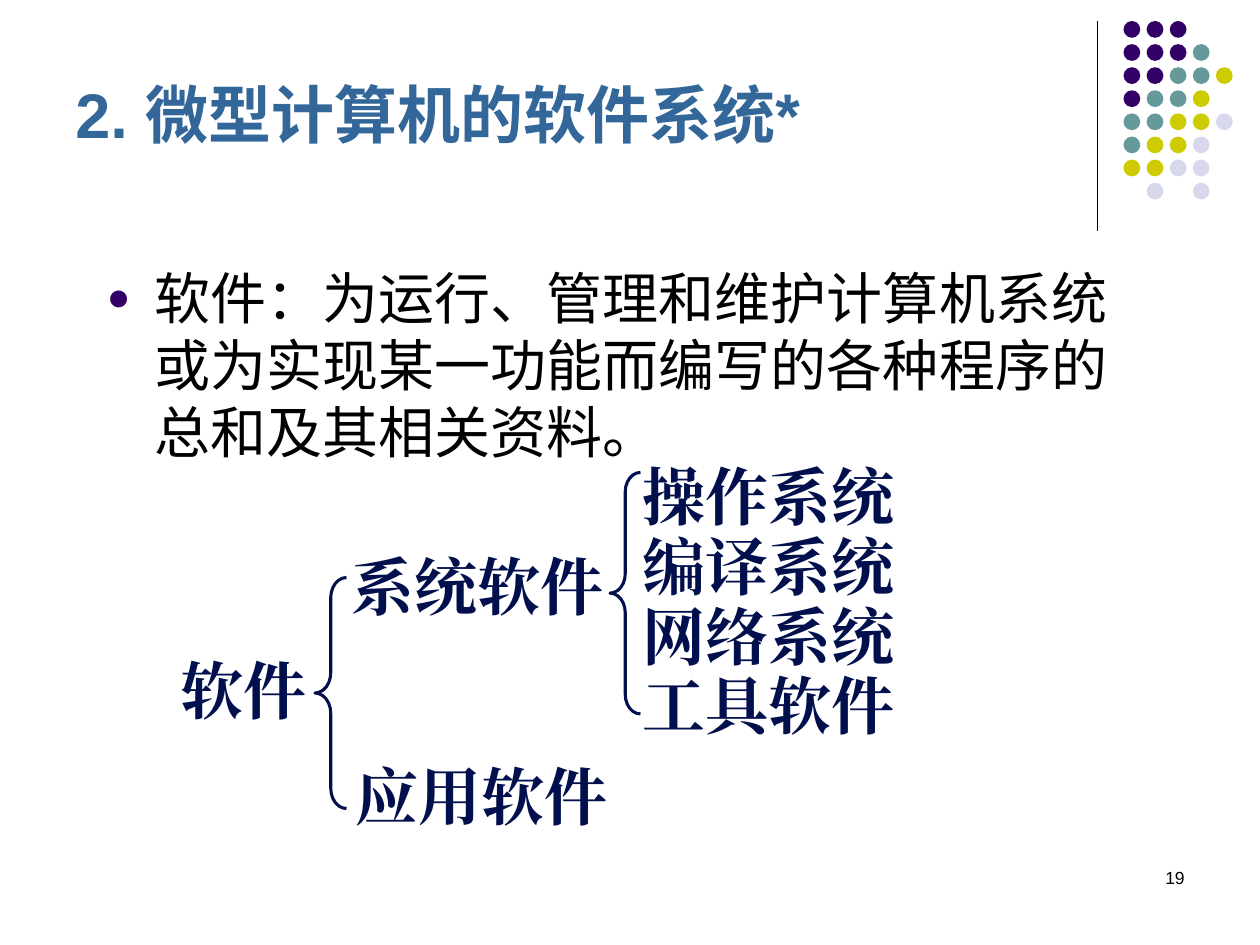
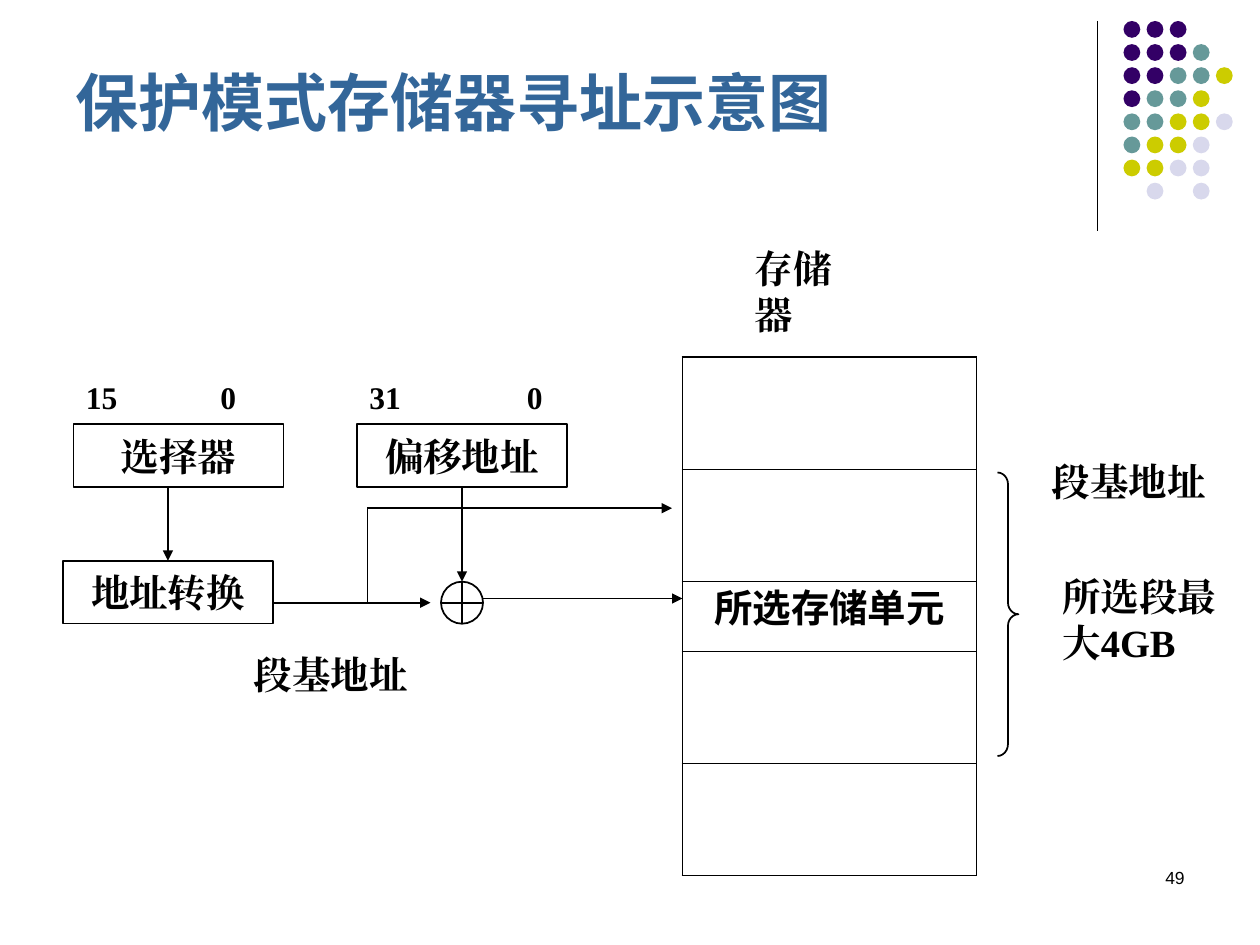
from dataclasses import dataclass

from lxml import etree
from pptx import Presentation
from pptx.dml.color import RGBColor
from pptx.enum.lang import MSO_LANGUAGE_ID
from pptx.enum.shapes import MSO_CONNECTOR, MSO_SHAPE
from pptx.enum.text import MSO_ANCHOR, PP_ALIGN
from pptx.oxml.ns import qn
from pptx.util import Inches, Pt

STRAIGHT = MSO_CONNECTOR.STRAIGHT
OVAL, RECTANGLE = MSO_SHAPE.OVAL, MSO_SHAPE.RECTANGLE
LEFT_BRACE, RIGHT_BRACE = MSO_SHAPE.LEFT_BRACE, MSO_SHAPE.RIGHT_BRACE
LEFT, CENTER, RIGHT = PP_ALIGN.LEFT, PP_ALIGN.CENTER, PP_ALIGN.RIGHT
TOP, MIDDLE, BOTTOM = MSO_ANCHOR.TOP, MSO_ANCHOR.MIDDLE, MSO_ANCHOR.BOTTOM
CHINESE = MSO_LANGUAGE_ID.SIMPLIFIED_CHINESE

# The slide is a grid of 120 columns and 90 rows of square cells
WIDTH, HEIGHT = Inches(10), Inches(7.5)
COLUMNS, ROWS = 120, 90

SANS, SERIF = "Arial", "Times New Roman"
BLACK, TITLE_BLUE, NAVY, PURPLE = "000000", "336699", "010F4D", "330066"
DOT_COLORS = {"P": PURPLE, "T": "669999", "Y": "CCCC00", "L": "D8D8EC"}
DOT_ROWS = ["PPP", "PPPT", "PPTTY", "PTTY", "TTYYL", "TYYL", "YYLL", ".L.L"]


@dataclass
class Box:
    """An area measured in grid columns and rows."""
    left: float
    top: float
    width: float
    height: float

    def inner(self, left, top, width, height):
        return Box(self.left + left, self.top + top, width, height)

    def point(self, column, row):
        return self.left + column, self.top + row

    def lengths(self):
        return (across(self.left), down(self.top),
                across(self.width), down(self.height))


def across(columns):
    return round(WIDTH * columns / COLUMNS)


def down(rows):
    return round(HEIGHT * rows / ROWS)


def color(value):
    return RGBColor.from_string(value)


def add_xml(parent, tag, **attributes):
    return etree.SubElement(parent, qn(tag), attributes)


# Text
def write(frame, text, size=22, font=SERIF, ink=BLACK, bold=True, align=LEFT,
          anchor=TOP, wrap=True, before=0, spacing=None):
    """Fill a text frame, one paragraph for each line of the text."""
    frame.word_wrap = wrap
    frame.vertical_anchor = anchor
    frame.margin_left = frame.margin_right = Inches(0.1)
    frame.margin_top = frame.margin_bottom = Inches(0.05)
    for number, line in enumerate(text.split("\n")):
        para = frame.add_paragraph() if number else frame.paragraphs[0]
        para.alignment = align
        para.space_before = Pt(before)
        if spacing:
            para.line_spacing = spacing
        span = para.add_run()
        span.text = line
        span.font.size, span.font.bold, span.font.name = Pt(size), bold, font
        span.font.color.rgb = color(ink)
        span.font.language_id = CHINESE
        add_xml(span.font._element, "a:ea", typeface=font)
    return frame.paragraphs[0]


def add_text(page, box, text, **style):
    return write(page.shapes.add_textbox(*box.lengths()).text_frame, text, **style)


def add_bullet(para):
    properties = para._p.get_or_add_pPr()
    properties.set("marL", str(Inches(0.38)))
    properties.set("indent", str(-Inches(0.38)))
    tint = add_xml(properties, "a:buClr")
    add_xml(tint, "a:srgbClr", val=PURPLE)
    add_xml(properties, "a:buSzPct", val="70000")
    add_xml(properties, "a:buFont", typeface=SANS)
    add_xml(properties, "a:buChar", char="●")


def add_tab(para, columns):
    stops = add_xml(para._p.get_or_add_pPr(), "a:tabLst")
    add_xml(stops, "a:tab", pos=str(across(columns)), algn="l")


# Shapes and lines
def add_shape(page, kind, box, fill=None, line=None, weight=1):
    shape = page.shapes.add_shape(kind, *box.lengths())
    shape.shadow.inherit = False
    if fill:
        shape.fill.solid()
        shape.fill.fore_color.rgb = color(fill)
    else:
        shape.fill.background()
    if line:
        shape.line.color.rgb = color(line)
        shape.line.width = Pt(weight)
    else:
        shape.line.fill.background()
    return shape


def add_brace(page, kind, box, curve, line=BLACK, weight=1):
    add_shape(page, kind, box, line=line, weight=weight).adjustments[0] = curve


def add_line(page, start, end, weight=1, arrow=False):
    line = page.shapes.add_connector(STRAIGHT, across(start[0]), down(start[1]),
                                     across(end[0]), down(end[1]))
    line.line.color.rgb = color(BLACK)
    line.line.width = Pt(weight)
    if arrow:
        add_xml(line.line._get_or_add_ln(), "a:tailEnd", type="triangle")
    add_xml(line._element.spPr, "a:effectLst")


def set_borders(cell, top, bottom, sides):
    properties = cell._tc.get_or_add_tcPr()
    widths = {"a:lnL": sides, "a:lnR": sides, "a:lnT": top, "a:lnB": bottom}
    for position, (tag, width) in enumerate(widths.items()):
        border = etree.Element(qn(tag), w=str(Pt(width)))
        add_xml(add_xml(border, "a:solidFill"), "a:srgbClr", val=BLACK)
        properties.insert(position, border)


# Parts shared by the slides
def dot_corner(page, box):
    add_line(page, box.point(0, 0), box.point(0, box.height), weight=0.75)
    step, size = 2.2, 1.6
    for row, marks in enumerate(DOT_ROWS):
        for column, mark in enumerate(marks):
            if mark in DOT_COLORS:
                dot = box.inner(2.5 + column * step, row * step, size, size)
                add_shape(page, OVAL, dot, fill=DOT_COLORS[mark])


def new_page(deck, title, title_bottom, number):
    page = deck.slides.add_slide(deck.slide_layouts[6])
    dot_corner(page, Box(104.5, 2, 13, 20))
    add_text(page, Box(6, title_bottom - 8, 99, 8), title, size=36, font=SANS,
             ink=TITLE_BLUE, anchor=BOTTOM)
    add_text(page, Box(86, 82, 28, 6), str(number), size=10, font=SANS,
             bold=False, align=RIGHT)
    return page


# Software slide
def definition(page, box):
    text = "软件：为运行、管理和维护计算机系统或为实现某一功能而编写的各种程序的总和及其相关资料。"
    add_bullet(add_text(page, box, text, size=32, font=SANS, bold=False, before=8))


def software_tree(page, box):
    style = dict(size=36, ink=NAVY, before=22.5)
    add_text(page, box.inner(0, 16.5, 15, 8.4), "软件", **style)
    add_text(page, box.inner(16.3, 6.6, 28, 8.4), "系统软件", **style)
    add_text(page, box.inner(16.7, 26.6, 27, 8.4), "应用软件", **style)
    add_text(page, box.inner(44, 1.7, 33, 23.8),
             "操作系统\n编译系统\n网络系统\n工具软件", spacing=0.4, **style)
    for brace in (box.inner(14, 10, 3, 22), box.inner(42.1, 0, 2.9, 23)):
        add_brace(page, LEFT_BRACE, brace, 0.64, line=NAVY, weight=1.75)


# Addressing slide
def register(page, box, label):
    shape = add_shape(page, RECTANGLE, box, line=BLACK)
    write(shape.text_frame, label, align=CENTER, anchor=MIDDLE, wrap=False)


def bit_range(page, box, high, tab):
    add_tab(add_text(page, box, f"{high}\t0", size=18, before=11.2), tab)


def address_path(page, box):
    width, height = 20, 6
    # Registers and the conversion step
    register(page, box.inner(1, 5, width, height), "选择器")
    register(page, box.inner(0, 18, width, height), "地址转换")
    register(page, box.inner(28, 5, width, height), "偏移地址")
    bit_range(page, box.inner(1, 0, width, 4.8), 15, 12.8)
    bit_range(page, box.inner(28, 0, width, 4.8), 31, 15)
    add_text(page, box.inner(17, 26, 18, 5.6), "段基地址", before=13.8)

    # Adder: a circle with a cross
    adder = box.inner(36, 20, 4, 4)
    add_shape(page, OVAL, adder, line=BLACK)
    add_line(page, adder.point(0, 2), adder.point(4, 2))
    add_line(page, adder.point(2, 0), adder.point(2, 4))

    # Flow of the address
    flows = [((10, 11), (10, 18), True),
             ((20, 22), (35, 22), True),
             ((38, 11), (38, 20), True),
             ((29, 22), (29, 13), False),
             ((29, 13), (58, 13), True),
             ((40, 21.6), (59, 21.6), True)]
    for start, end, arrow in flows:
        add_line(page, box.point(*start), box.point(*end), arrow=arrow)


def memory(page, box):
    add_text(page, box.inner(5.7, 0, 13.3, 5.6), "存储器", wrap=False)

    # Memory cells
    heights = [10.7, 10.7, 6.6, 10.7, 10.7]
    area = box.inner(0, 11.3, 28, sum(heights))
    table = page.shapes.add_table(len(heights), 1, *area.lengths()).table
    table.first_row = table.horz_banding = False
    outer, inner, last = 1.08, 0.45, len(heights) - 1
    for index, height in enumerate(heights):
        table.rows[index].height = down(height)
        cell = table.cell(index, 0)
        cell.fill.background()
        set_borders(cell, inner if index else outer,
                    outer if index == last else inner, outer)
    write(table.cell(2, 0).text_frame, "所选存储单元", font=SANS, align=CENTER,
          before=5.5)

    # Extent of the segment
    add_brace(page, RIGHT_BRACE, box.inner(30, 22.3, 2, 27), 0.56)
    add_text(page, box.inner(34, 20.3, 18, 5.6), "段基地址", before=13.8)
    add_text(page, box.inner(35, 31.3, 17.2, 14.4), "所选段最大4GB", before=13.8)


def main():
    deck = Presentation()
    deck.slide_width, deck.slide_height = WIDTH, HEIGHT

    page = new_page(deck, "2. 微型计算机的软件系统*", 15, 19)
    definition(page, Box(9, 24.5, 102, 52.5))
    software_tree(page, Box(16, 45, 77, 35))

    page = new_page(deck, "保护模式存储器寻址示意图", 13.8, 49)
    address_path(page, Box(6, 35.4, 59, 32))
    memory(page, Box(65, 22.7, 52, 61))

    deck.save("out.pptx")


if __name__ == "__main__":
    main()
